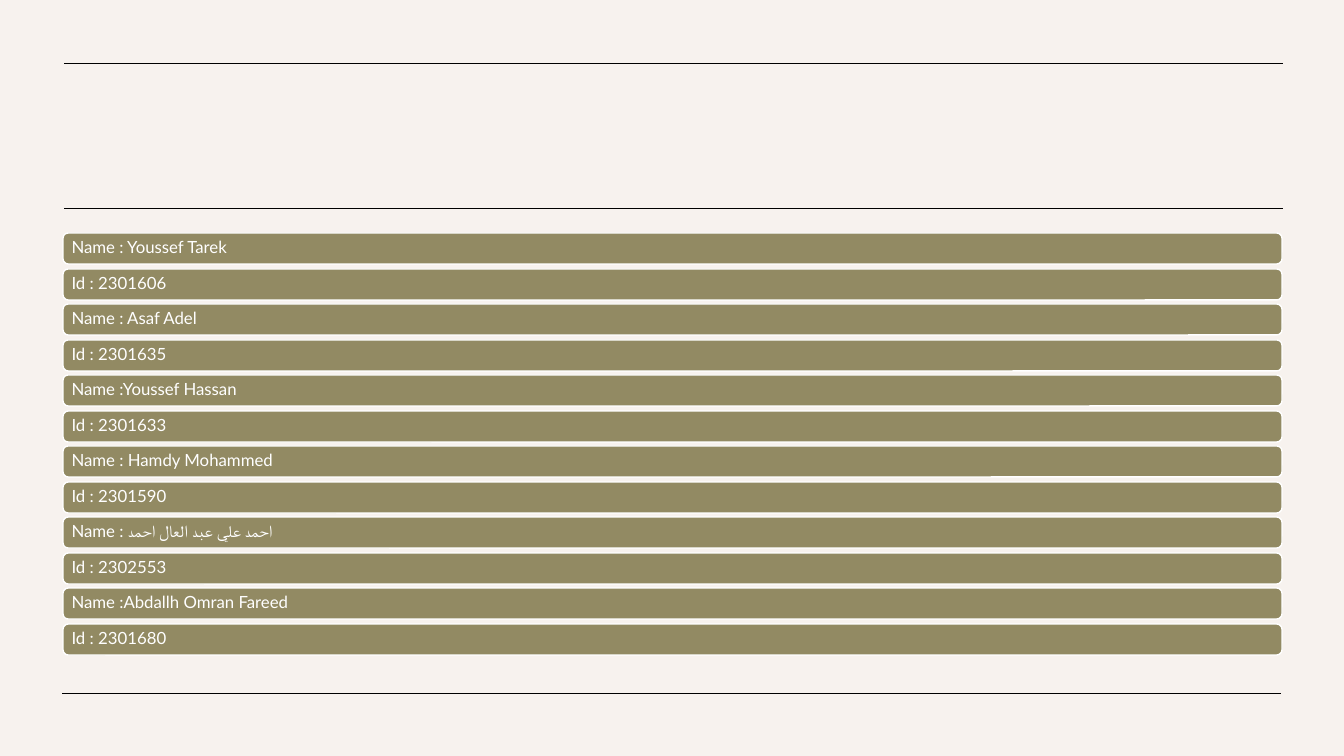
import dataclasses

import pptx
import pptx.dml.color
import pptx.enum.shapes
import pptx.enum.text
import pptx.oxml.ns
import pptx.util
from lxml import etree

SCALE = 914400 / 100.8


@dataclasses.dataclass
class Theme:
    back: str = "F7F2EE"
    bar: str = "928A63"
    edge: str = "FFFFFF"
    text: str = "FFFFFF"
    rule: str = "000000"
    font: str = "Lato"
    size: float = 12


def px(n):
    return pptx.util.Emu(round(n * SCALE))


def color(code):
    return pptx.dml.color.RGBColor.from_string(code)


class Page:
    def __init__(self, deck, theme):
        self.theme = theme
        self.slide = deck.slides.add_slide(deck.slide_layouts[6])
        fill = self.slide.background.fill
        fill.solid()
        fill.fore_color.rgb = color(theme.back)

    def rule(self, left, right, y):
        line = self.slide.shapes.add_connector(
            pptx.enum.shapes.MSO_CONNECTOR.STRAIGHT, px(right), px(y), px(left), px(y)
        )
        line.line.color.rgb = color(self.theme.rule)
        line.line.width = pptx.util.Pt(0.5)
        etree.SubElement(line._element.spPr, pptx.oxml.ns.qn("a:effectLst"))

    def bar(self, left, top, width, height, text):
        bar = self.slide.shapes.add_shape(
            pptx.enum.shapes.MSO_SHAPE.ROUNDED_RECTANGLE,
            px(left), px(top), px(width), px(height),
        )
        bar.shadow.inherit = False
        bar.fill.solid()
        bar.fill.fore_color.rgb = color(self.theme.bar)
        bar.line.color.rgb = color(self.theme.edge)
        bar.line.width = pptx.util.Pt(1)
        frame = bar.text_frame
        frame.word_wrap = True
        frame.vertical_anchor = pptx.enum.text.MSO_ANCHOR.MIDDLE
        frame.margin_left = frame.margin_right = px(7)
        frame.margin_top = frame.margin_bottom = px(5)
        para = frame.paragraphs[0]
        para.text = text
        para.alignment = pptx.enum.text.PP_ALIGN.LEFT
        para.line_spacing = 0.9
        para.font.name = self.theme.font
        para.font.size = pptx.util.Pt(self.theme.size)
        para.font.color.rgb = color(self.theme.text)


TEAM = [
    ("Name : Youssef Tarek", 2301606),
    ("Name : Asaf Adel", 2301635),
    ("Name :Youssef Hassan", 2301633),
    ("Name : Hamdy Mohammed", 2301590),
    ("Name : احمد علي عبد العال احمد", 2302553),
    ("Name :Abdallh Omran Fareed", 2301680),
]


def main():
    deck = pptx.Presentation()
    deck.slide_width, deck.slide_height = px(1344), px(756)
    page = Page(deck, Theme())
    for left, right, y in [(62, 1281, 693), (64, 1283, 208), (64, 1283, 63)]:
        page.rule(left, right, y)
    rows = [text for name, code in TEAM for text in (name, f"Id : {code}")]
    first, last = 233, 624
    for i, text in enumerate(rows):
        top = first + round(i * (last - first) / (len(rows) - 1))
        page.bar(63, top, 1219, 31, text)
    deck.save("out.pptx")


if __name__ == "__main__":
    main()
